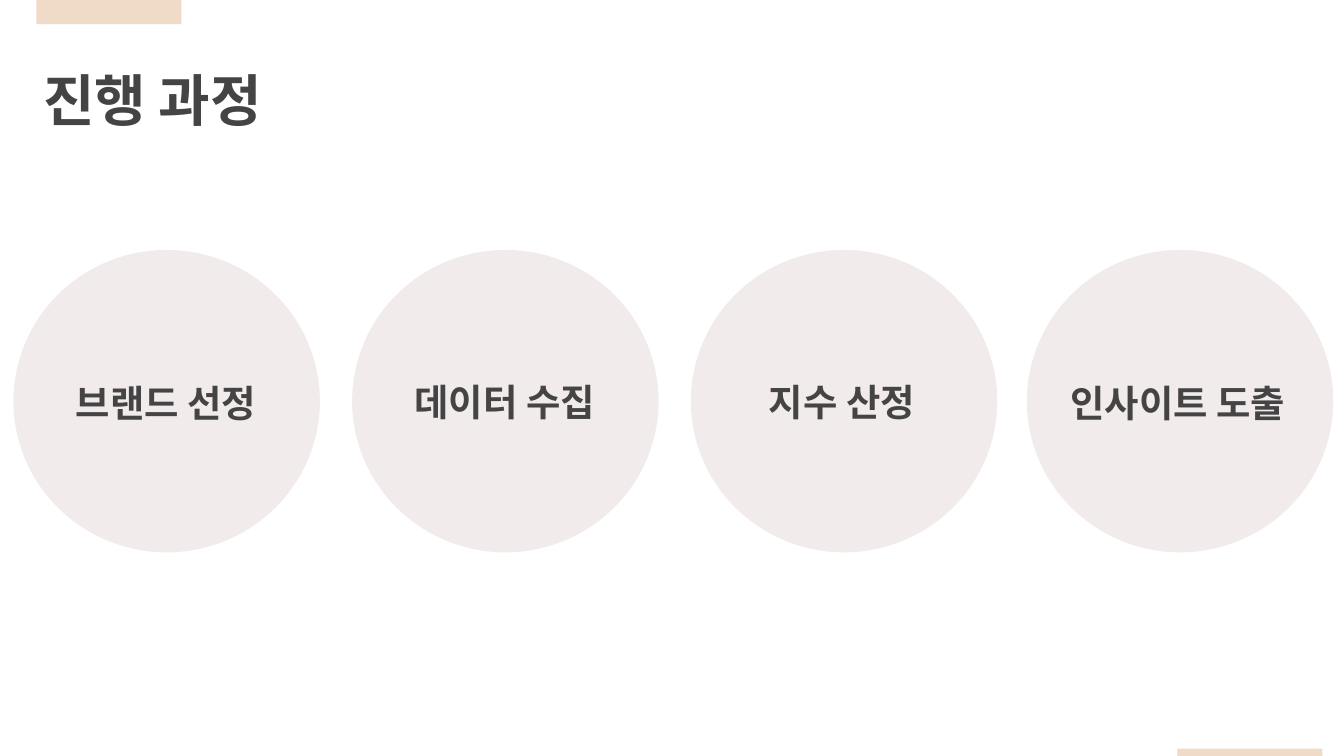
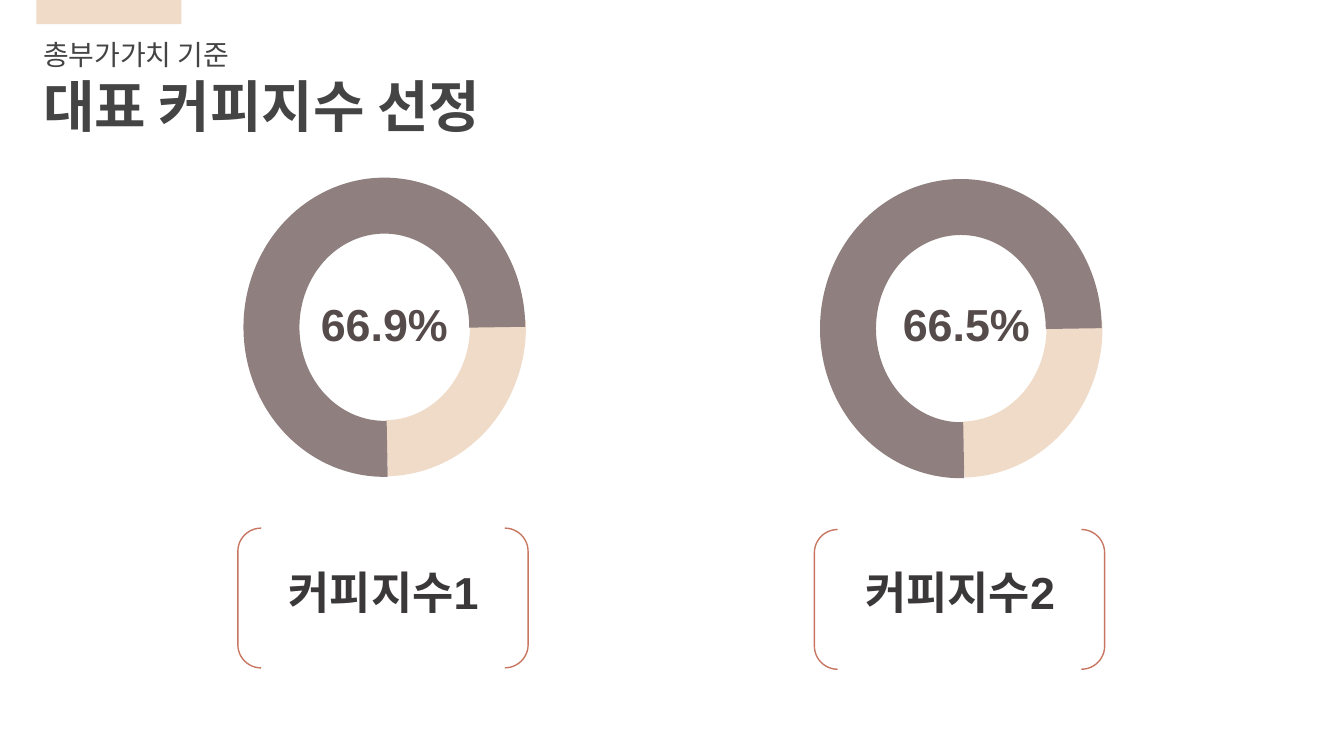
from pptx import Presentation
from pptx.dml.color import RGBColor as RGB
from pptx.enum.shapes import MSO_SHAPE as Kind
from pptx.enum.text import MSO_AUTO_SIZE as Fit, PP_ALIGN as Align
from pptx.util import Inches, Pt

SAND = "EFDBC7"
MIST = "F1EBEB"
MAUVE = "8F807F"
RUST = "C87661"
INK = "454444"
DARK = "3A3838"
BROWN = "554B4B"
FONT = "Arial"


def paint(color, tone):
    color.rgb = RGB.from_string(tone)


def add_form(slide, kind, box, fill=None, line=None, width=0):
    form = slide.shapes.add_shape(kind, *map(Inches, box))
    form.shadow.inherit = False
    if fill:
        form.fill.solid()
        paint(form.fill.fore_color, fill)
    else:
        form.fill.background()
    if line:
        paint(form.line.color, line)
        form.line.width = Pt(width)
    else:
        form.line.fill.background()
    return form


def add_text(slide, box, lines, tone, align=Align.CENTER, fit=True):
    frame = slide.shapes.add_textbox(*map(Inches, box)).text_frame
    frame.word_wrap = True
    frame.auto_size = Fit.SHAPE_TO_FIT_TEXT if fit else Fit.NONE
    frame.margin_left = frame.margin_right = Inches(0.07)
    frame.margin_top = frame.margin_bottom = Inches(0.04)
    for i, (text, size, bold) in enumerate(lines):
        para = frame.add_paragraph() if i else frame.paragraphs[0]
        para.text = text
        para.alignment = align
        para.font.name = FONT
        para.font.size = Pt(size)
        para.font.bold = bold
        paint(para.font.color, tone)


def add_arc(slide, box, tone, start, end, turn=0):
    arc = add_form(slide, Kind.ARC, box, line=tone, width=30)
    arc.adjustments[0] = start
    arc.adjustments[1] = end
    arc.rotation = turn


def add_page(deck, title, top, high, lead=None):
    slide = deck.slides.add_slide(deck.slide_layouts[6])
    add_form(slide, Kind.RECTANGLE, (0.27, 0, 1.08, 0.18), SAND)
    lines = [(lead, 15, False)] if lead else []
    lines.append((title, 30, True))
    add_text(slide, (0.25, top, 3.89, high), lines, INK, Align.LEFT)
    return slide


def add_step(slide, left, name, text_left, text_top):
    add_form(slide, Kind.OVAL, (left, 1.86, 2.28, 2.25), MIST)
    add_text(slide, (text_left, text_top, 2.25, 0.41), [(name, 20, True)], INK)


def add_ring(slide, left, top, rate, rate_box, name):
    add_arc(slide, (left + 0.19, top + 0.06, 1.81, 1.68), SAND,
            160.3, 215.46, 90)
    add_arc(slide, (left + 0.25, top, 1.68, 1.81), MAUVE, 53.2, 0)
    add_text(slide, rate_box, [(rate, 24, True)], BROWN)
    add_form(slide, Kind.DOUBLE_BRACKET, (left, top + 2.4, 2.16, 1.04),
             line=RUST, width=0.75)
    add_text(slide, (left + 0.07, 4.16, 2.03, 0.6), [(name, 24, True)],
             DARK, fit=False)


def main():
    deck = Presentation()
    deck.slide_width = Inches(10)
    deck.slide_height = deck.slide_width * 9 // 16

    slide = add_page(deck, "진행 과정", 0.45, 0.58)
    add_form(slide, Kind.RECTANGLE, (8.76, 5.57, 1.08, 0.06), SAND)
    add_step(slide, 0.1, "브랜드 선정", 0.11, 2.79)
    add_step(slide, 2.62, "데이터 수집", 2.63, 2.78)
    add_step(slide, 5.14, "지수 산정", 5.14, 2.78)
    add_step(slide, 7.64, "인사이트 도출", 7.64, 2.79)

    slide = add_page(deck, "대표 커피지수 선정", 0.24, 0.83, "총부가가치 기준")
    add_ring(slide, 1.77, 1.53, "66.9%", (2.16, 2.17, 1.4, 0.48), "커피지수1")
    add_ring(slide, 6.06, 1.54, "66.5%", (6.35, 2.17, 1.68, 0.48), "커피지수2")

    deck.save("out.pptx")


if __name__ == "__main__":
    main()
